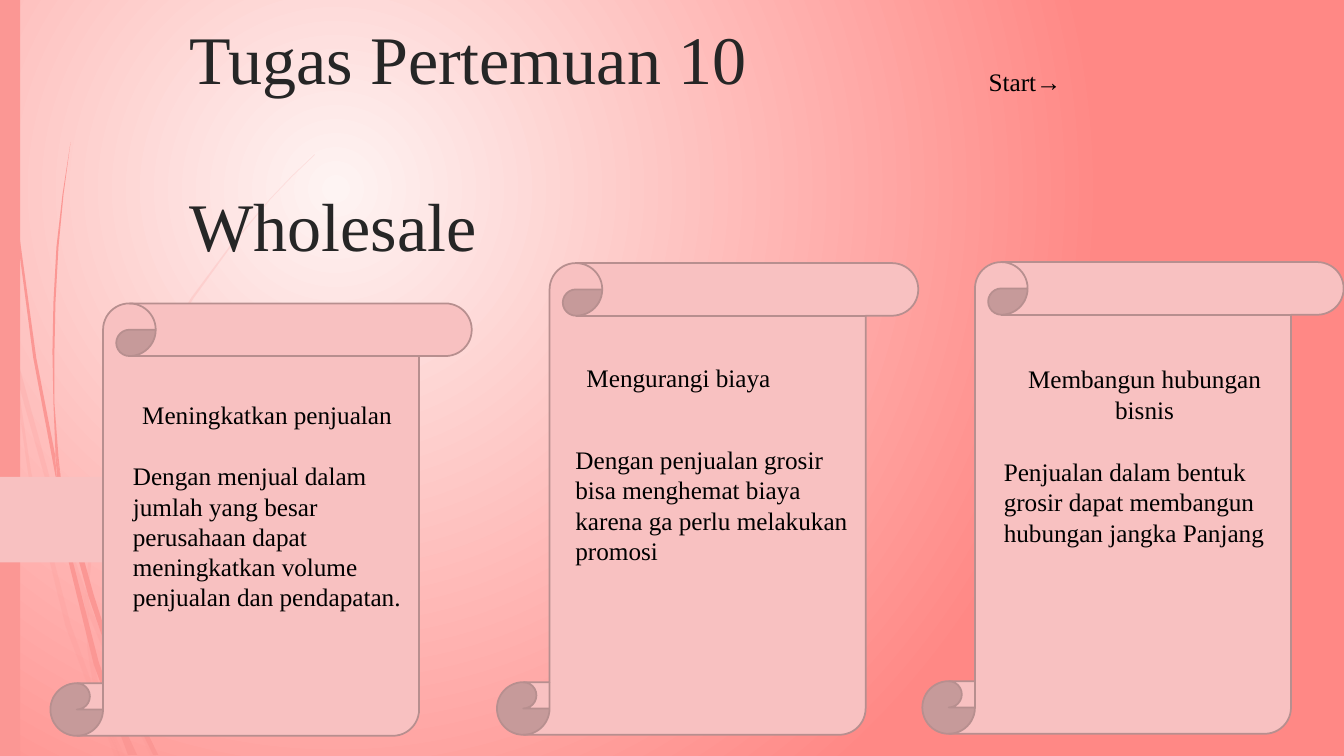
from dataclasses import dataclass

from lxml import etree
from pptx import Presentation
from pptx import util as u
from pptx.dml.color import RGBColor
from pptx.enum import shapes, text
from pptx.oxml.ns import qn

W, H = u.Inches(13.33), u.Inches(7.5)
COLS, ROWS = 160, 90
FINE = 1333


@dataclass(frozen=True)
class Theme:
    font: str = "Times New Roman"
    glow: str = "FEF4F3"
    coral: str = "FF8885"
    grass: str = "FB9794"
    paper: str = "F8C1C1"
    edge: str = "B78F8F"
    title_ink: str = "262626"
    ink: str = "000000"
    title_size: float = 48.6
    title_gap: float = 61
    body_size: float = 18
    edge_width: float = 1.25


T = Theme()

FAINT_BLADES = [
    "11 350 9 322 0 282 0 299 10 344",
    "58 522 84 599 85 586 62 520 14 345 17 376",
    "92 607 88 596 88 610 123 694 150 751 155 751 127 692",
    "119 751 124 751 105 711",
    "93 683 70 619 31 469 17 376 11 350 28 470 65 621 92 693 101 714 99 707",
    "84 599 87 646 93 683 96 692 105 711 103 706 91 646 88 610 88 608",
    "88 584 94 522 110 462 132 404 160 349 192 296 229 245 268 198 290 175 312 154 "
    "312 153 289 175 268 197 228 244 190 295 158 348 130 403 107 461 91 521 85 584 85 586 88 596",
    "101 714 114 751 119 751",
    "88 608 88 610 88 596 85 586 84 599",
    "96 692 93 683 99 707 101 714 119 751 105 711",
]
BOLD_BLADES = [
    "7 110 17 233 33 355 56 477 57 481 55 457 55 453 36 355 19 232 8 109 5 48 4 0 3 0 4 48",
    "88 592 106 645 106 633 106 631 93 590 60 472 64 505",
    "113 649 110 641 111 656 132 708 152 749 157 749 136 706",
    "110 691 98 657 72 556 64 505 57 477 68 557 93 659 111 708 117 722 116 717",
    "60 472 58 453 54 400 54 349 55 300 58 245 63 193 70 141 62 193 56 245 53 300 52 349 "
    "53 400 55 449",
    "133 749 136 749 122 719",
    "57 477 64 505 60 472 55 449 55 453",
    "111 633 115 592 125 552 140 513 158 476 180 440 205 406 231 374 245 359 261 344 260 344 "
    "245 358 231 373 204 405 179 438 156 474 137 511 122 551 111 591 106 631 110 641",
    "117 722 127 749 131 749",
    "106 645 110 691 116 706 122 719 121 716 111 656 109 651",
    "106 645 109 651 111 656 110 641 106 631",
    "116 706 110 691 116 717 117 722 130 749 133 749 122 719",
]

SCROLLS = [
    dict(box=(6, 36.12, 50.16, 51.48),
         head=("Meningkatkan penjualan", (6.12, 10.8, 39.36, 4.8), True),
         body=("Dengan menjual dalam jumlah yang besar perusahaan dapat "
               "meningkatkan volume penjualan dan pendapatan.",
               (8.64, 18.12, 34.44, 19.44))),
    dict(box=(59.16, 31.32, 50.16, 56.16),
         head=("Mengurangi biaya", (9.48, 11.28, 43.32, 4.8), False),
         body=("Dengan penjualan grosir bisa menghemat biaya karena ga perlu "
               "melakukan promosi", (8.16, 21, 37.32, 15.72))),
    dict(box=(109.8, 31.2, 50.16, 56.16),
         head=("Membangun hubungan bisnis", (8.64, 11.52, 35.64, 8.76), True),
         body=("Penjualan dalam bentuk grosir dapat membangun hubungan jangka Panjang",
               (8.52, 22.56, 35.64, 12.12))),
]


def place(box):
    x, y, w, h = box
    return [int(v) for v in (x * W / COLS, y * H / ROWS, w * W / COLS, h * H / ROWS)]


def paint(sp, fill, line=None, opacity=None):
    sp.shadow.inherit = False
    sp.fill.solid()
    sp.fill.fore_color.rgb = RGBColor.from_string(fill)
    if opacity:
        clr = sp._element.spPr.find(".//" + qn("a:srgbClr"))
        etree.SubElement(clr, qn("a:alpha"), val=str(opacity * 1000))
    if line:
        sp.line.color.rgb = RGBColor.from_string(line)
        sp.line.width = u.Pt(T.edge_width)
    else:
        sp.line.fill.background()


def add_preset(s, kind, box, fill, line=None):
    paint(s.shapes.add_shape(kind, *place(box)), fill, line)


def add_text(s, box, *lines, size=T.body_size, color=T.ink, centered=False,
             anchor=text.MSO_ANCHOR.TOP, gap=0):
    tf = s.shapes.add_textbox(*place(box)).text_frame
    tf.word_wrap = True
    tf.vertical_anchor = anchor
    for i, line in enumerate(lines):
        p = tf.add_paragraph() if i else tf.paragraphs[0]
        p.alignment = text.PP_ALIGN.CENTER if centered else text.PP_ALIGN.LEFT
        p.space_before = u.Pt(gap if i else 0)
        r = p.add_run()
        r.text = line
        r.font.name = T.font
        r.font.size = u.Pt(size)
        r.font.color.rgb = RGBColor.from_string(color)


def add_background(s):
    fill = s.background.fill
    fill.gradient()
    for stop, color, position in zip(fill.gradient_stops, (T.glow, T.coral), (0, 1)):
        stop.color.rgb = RGBColor.from_string(color)
        stop.position = position
    grad = s.element.find(".//" + qn("a:gradFill"))
    lin = grad.find(qn("a:lin"))
    circle = etree.Element(qn("a:path"), path="circle")
    etree.SubElement(circle, qn("a:fillToRect"), l="50000", t="50000", r="100000", b="100000")
    grad.replace(lin, circle)


def add_blades(s, blades, opacity=None):
    for blade in blades:
        n = [int(v) for v in blade.split()]
        points = list(zip(n[::2], n[1::2]))
        fb = s.shapes.build_freeform(*points[0], scale=W / FINE)
        fb.add_line_segments(points[1:], close=True)
        paint(fb.convert_to_shape(), T.grass, opacity=opacity)


def add_left_edge(s):
    add_blades(s, FAINT_BLADES, opacity=20)
    add_blades(s, BOLD_BLADES)
    add_preset(s, shapes.MSO_SHAPE.RECTANGLE, (0, 0, 2.4, ROWS), T.grass)
    add_preset(s, shapes.MSO_SHAPE.PENTAGON, (0, 56.76, 22.92, 10.2), T.paper)


def add_header(s):
    add_text(s, (21.36, 4.92, 111.24, 27.24), "Tugas Pertemuan 10", "Wholesale",
             size=T.title_size, color=T.title_ink,
             anchor=text.MSO_ANCHOR.BOTTOM, gap=T.title_gap)
    add_text(s, (116.52, 7.32, 16.56, 4.8), "Start→")


def add_scroll(s, box, head, body):
    add_preset(s, shapes.MSO_SHAPE.VERTICAL_SCROLL, box, T.paper, T.edge)
    for words, (dx, dy, w, h), *centered in (head, body):
        add_text(s, (box[0] + dx, box[1] + dy, w, h), words, centered=any(centered))


def main():
    prs = Presentation()
    prs.slide_width, prs.slide_height = W, H
    s = prs.slides.add_slide(prs.slide_layouts[6])
    add_background(s)
    add_left_edge(s)
    add_header(s)
    for scroll in SCROLLS:
        add_scroll(s, **scroll)
    prs.save("out.pptx")


if __name__ == "__main__":
    main()
